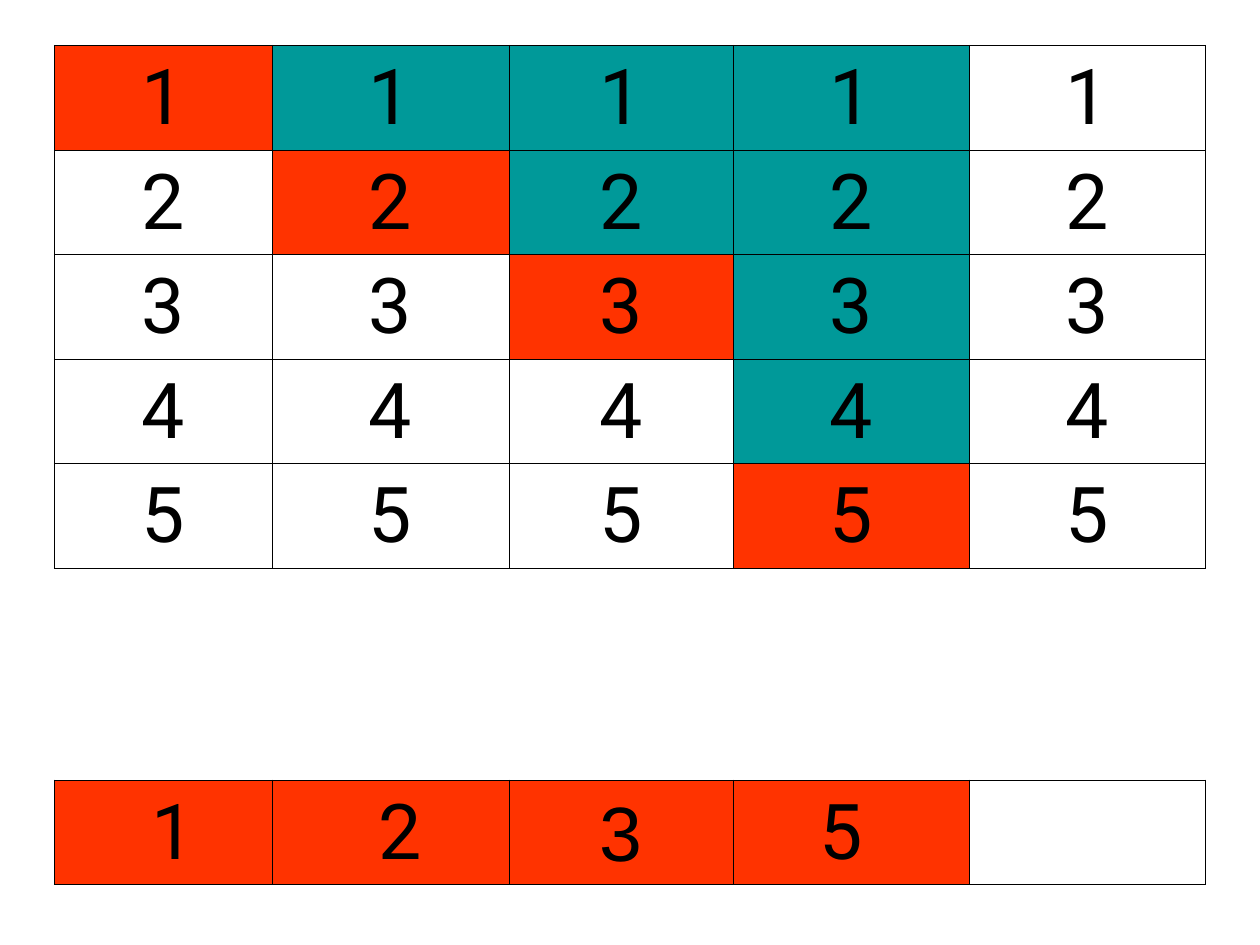
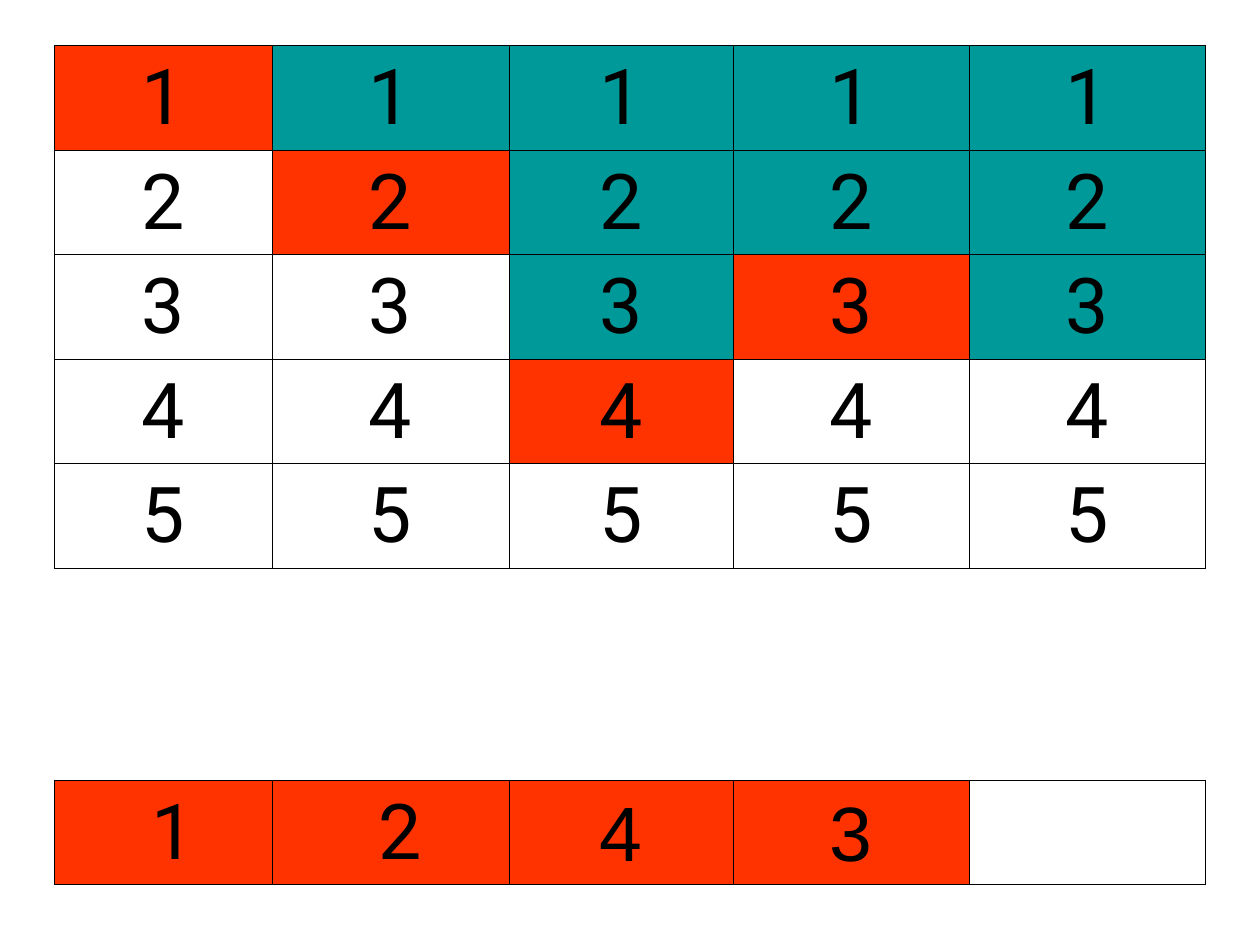
from lxml import etree
from pptx import Presentation
from pptx.dml.color import RGBColor
from pptx.enum.text import MSO_ANCHOR, PP_ALIGN
from pptx.oxml.ns import qn
from pptx.util import Inches, Pt

BOTTOM = MSO_ANCHOR.BOTTOM
CENTER = PP_ALIGN.CENTER

COLORS = {"black": "000000", "chosen": "FF3300", "tried": "009999", "open": "FFFFFF"}
STATES = {"C": "chosen", "T": "tried", ".": "open"}

COL_WIDTHS = [1.73, 1.88, 1.78, 1.87, 1.88]
ROW_HEIGHT, GAP_HEIGHT = 0.83, 1.68
GRID_SIZE = 5
GAP_ROW, RESULT_ROW = GRID_SIZE, GRID_SIZE + 1

# One string per grid row, then the (text, font) pairs of the result row
STEPS = [
    (["CTTT.", ".CTT.", "..CT.", "...T.", "...C."],
     [(" 1", "Roboto"), (" 2", "Roboto"), ("3", "Arial"), ("5 ", "Roboto")]),
    (["CTTTT", ".CTTT", "..TCT", "..C..", "....."],
     [(" 1", "Roboto"), (" 2", "Roboto"), ("4", "Arial"), ("3", "Arial")]),
]


def set_borders(cell, sides):
    tcPr = cell._tc.get_or_add_tcPr()
    for side in "LRTB":
        ln = etree.SubElement(tcPr, qn(f"a:ln{side}"), w=str(Pt(0.45)))
        if side in sides:
            fill = etree.SubElement(ln, qn("a:solidFill"))
            etree.SubElement(fill, qn("a:srgbClr"), val=COLORS["black"])
        else:
            etree.SubElement(ln, qn("a:noFill"))


def fill_cell(cell, state, text="", font="Roboto"):
    set_borders(cell, "LRTB")
    cell.fill.solid()
    cell.fill.fore_color.rgb = RGBColor.from_string(COLORS[state])
    if text:
        cell.vertical_anchor = BOTTOM
        p = cell.text_frame.paragraphs[0]
        p.text = text
        p.alignment = CENTER
        p.font.name = font
        p.font.size = Pt(44)
        p.font.color.rgb = RGBColor.from_string(COLORS["black"])


prs = Presentation()
prs.slide_width, prs.slide_height = Inches(10), Inches(7.5)

for grid, result in STEPS:
    s = prs.slides.add_slide(prs.slide_layouts[6])

    # Table frame
    heights = [ROW_HEIGHT] * GRID_SIZE + [GAP_HEIGHT, ROW_HEIGHT]
    table = s.shapes.add_table(
        len(heights), len(COL_WIDTHS), Inches(0.43), Inches(0.36),
        Inches(sum(COL_WIDTHS)), Inches(sum(heights))).table
    table.first_row = table.horz_banding = False
    for column, width in zip(table.columns, COL_WIDTHS):
        column.width = Inches(width)
    for row, height in zip(table.rows, heights):
        row.height = Inches(height)

    # Grid of candidates: each row repeats its own number
    for r, states in enumerate(grid):
        for c, state in enumerate(states):
            fill_cell(table.cell(r, c), STATES[state], str(r + 1))

    # Gap between the grid and the result
    for c in range(GRID_SIZE):
        cell = table.cell(GAP_ROW, c)
        set_borders(cell, "TB")
        cell.fill.background()

    # Result so far, with the last cell still open
    for c, (text, font) in enumerate(result):
        fill_cell(table.cell(RESULT_ROW, c), "chosen", text, font)
    fill_cell(table.cell(RESULT_ROW, GRID_SIZE - 1), "open")

prs.save("out.pptx")
